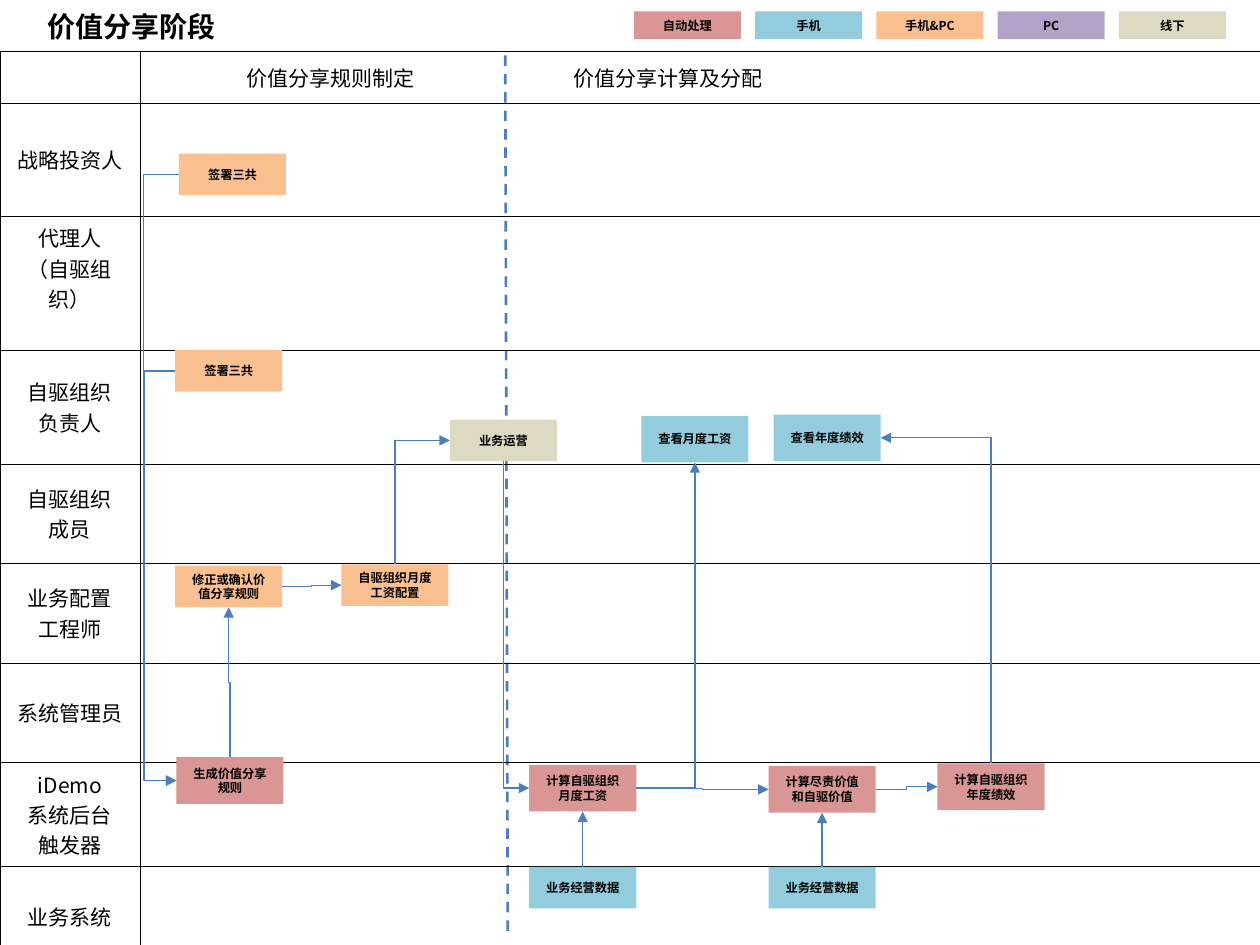
from dataclasses import dataclass
from typing import Optional

from lxml.etree import SubElement
from pptx import Presentation
from pptx.dml.color import RGBColor
from pptx.enum.dml import MSO_LINE
from pptx.enum.shapes import MSO_CONNECTOR as Link, MSO_SHAPE
from pptx.enum.text import MSO_ANCHOR as Anchor, PP_ALIGN as Align
from pptx.oxml.ns import qn
from pptx.util import Inches, Pt

FONT = "Noto Sans CJK SC"
BLACK = RGBColor(0x00, 0x00, 0x00)
BLUE = RGBColor(0x4B, 0x7E, 0xBC)
AUTO = RGBColor(0xD9, 0x96, 0x94)
MOBILE = RGBColor(0x93, 0xCD, 0xDD)
MOBILE_PC = RGBColor(0xFA, 0xC0, 0x90)
PC = RGBColor(0xB3, 0xA2, 0xC7)
OFFLINE = RGBColor(0xDD, 0xD9, 0xC3)


@dataclass(frozen=True)
class Step:
    """A coloured box; lengths are inches."""
    text: str
    x: float
    y: float
    h: float
    color: RGBColor
    w: float = 0.85

    def side(self, name: str) -> tuple[float, float]:
        """Return the middle of the named side."""
        return {"left": (self.x, self.y + self.h / 2),
                "right": (self.x + self.w, self.y + self.h / 2),
                "top": (self.x + self.w / 2, self.y),
                "bottom": (self.x + self.w / 2, self.y + self.h)}[name]


@dataclass(frozen=True)
class Flow:
    """An arrow between the sides of two steps."""
    source: str
    start: str
    target: str
    end: str
    bend_x: Optional[float] = None


LEGEND = [("自动处理", AUTO), ("手机", MOBILE), ("手机&PC", MOBILE_PC),
          ("PC", PC), ("线下", OFFLINE)]
LANES = [("", 0.32), ("战略投资人", 0.9), ("代理人\n（自驱组织）", 0.92),
         ("自驱组织\n负责人", 0.9), ("自驱组织\n成员", 0.79),
         ("业务配置\n工程师", 0.79), ("系统管理员", 0.79),
         ("iDemo\n系统后台\n触发器", 0.79), ("业务系统", 0.79)]
STEPS = {
    "investor_sign": Step("签署三共", 1.42, 1.22, 0.33, MOBILE_PC),
    "leader_sign": Step("签署三共", 1.39, 2.78, 0.33, MOBILE_PC),
    "confirm": Step("修正或确认价值分享规则", 1.39, 4.49, 0.33, MOBILE_PC),
    "generate": Step("生成价值分享规则", 1.40, 6.01, 0.37, AUTO),
    "configure": Step("自驱组织月度工资配置", 2.71, 4.48, 0.33, MOBILE_PC),
    "operate": Step("业务运营", 3.57, 3.33, 0.33, OFFLINE),
    "wage": Step("计算自驱组织月度工资", 4.2, 6.07, 0.37, AUTO),
    "wage_data": Step("业务经营数据", 4.2, 6.88, 0.33, MOBILE),
    "view_wage": Step("查看月度工资", 5.09, 3.3, 0.37, MOBILE),
    "value": Step("计算尽责价值和自驱价值", 6.1, 6.08, 0.37, AUTO),
    "value_data": Step("业务经营数据", 6.1, 6.88, 0.33, MOBILE),
    "view_annual": Step("查看年度绩效", 6.14, 3.29, 0.37, MOBILE),
    "annual": Step("计算自驱组织年度绩效", 7.44, 6.06, 0.37, AUTO),
}
FLOWS = [
    Flow("leader_sign", "left", "generate", "left", 1.14),
    Flow("investor_sign", "left", "generate", "left", 1.14),
    Flow("generate", "top", "confirm", "bottom"),
    Flow("confirm", "right", "configure", "left"),
    Flow("configure", "top", "operate", "left"),
    Flow("wage_data", "top", "wage", "bottom"),
    Flow("operate", "bottom", "wage", "left"),
    Flow("wage", "right", "view_wage", "bottom"),
    Flow("value_data", "top", "value", "bottom"),
    Flow("annual", "top", "view_annual", "right"),
    Flow("wage", "right", "value", "left"),
    Flow("value", "right", "annual", "left"),
]


def write(frame, text: str, *, size: float, bold: bool = False,
          align=Align.CENTER) -> None:
    """Fill a text frame, one paragraph for each line of text."""
    frame.text = text
    for paragraph in frame.paragraphs:
        paragraph.alignment = align
        for run in paragraph.runs:
            font = run.font
            font.size, font.bold, font.name = Pt(size), bold, FONT
            font.color.rgb = BLACK
            SubElement(font._element, qn("a:ea")).set("typeface", FONT)


def draw_step(slide, step: Step) -> None:
    """Draw one coloured box with its label."""
    box = slide.shapes.add_shape(MSO_SHAPE.RECTANGLE, Inches(step.x), Inches(step.y),
                                 Inches(step.w), Inches(step.h))
    box.shadow.inherit = False
    box.fill.solid()
    box.fill.fore_color.rgb = step.color
    box.line.fill.background()
    box.text_frame.word_wrap = True
    box.text_frame.vertical_anchor = Anchor.MIDDLE
    write(box.text_frame, step.text, size=7, bold=True)


def add_line(slide, kind, start, end, width: float):
    """Add a blue connector without shadow."""
    line = slide.shapes.add_connector(kind, *map(Inches, (*start, *end)))
    line.line.color.rgb = BLUE
    line.line.width = Pt(width)
    SubElement(line._element.spPr, qn("a:effectLst"))
    return line


def draw_flow(slide, flow: Flow) -> None:
    """Draw an elbow arrow, turned when it leaves a step vertically."""
    start = STEPS[flow.source].side(flow.start)
    end = STEPS[flow.target].side(flow.end)
    dx, dy = end[0] - start[0], end[1] - start[1]
    arrow = add_line(slide, Link.ELBOW, start, end, 0.75)
    properties = arrow._element.spPr
    upright = ("top", "bottom")
    if flow.start in upright:
        width, height = abs(dy), abs(dx)
        arrow.left = Inches((start[0] + end[0] - width) / 2)
        arrow.top = Inches((start[1] + end[1] - height) / 2)
        arrow.width, arrow.height = Inches(width), Inches(height)
        frame = properties.find(qn("a:xfrm"))
        frame.set("rot", str(270 * 60000))
        frame.set("flipH", str(int(dy > 0)))
        frame.set("flipV", str(int(dx < 0)))
    geometry = properties.find(qn("a:prstGeom"))
    if (flow.start in upright) != (flow.end in upright):
        geometry.set("prst", "bentConnector2")
    if flow.bend_x is not None:
        guide = SubElement(geometry.find(qn("a:avLst")), qn("a:gd"))
        guide.set("name", "adj1")
        guide.set("fmla", f"val {round((flow.bend_x - start[0]) / dx * 100000)}")
    SubElement(arrow.line._get_or_add_ln(), qn("a:tailEnd")).set("type", "triangle")


def frame_cell(cell) -> None:
    """Give a table cell thin black borders and no fill."""
    cell.vertical_anchor = Anchor.MIDDLE
    properties = cell._tc.get_or_add_tcPr()
    for edge in ("a:lnL", "a:lnR", "a:lnT", "a:lnB"):
        border = SubElement(properties, qn(edge))
        border.set("w", str(Pt(0.25)))
        fill = SubElement(border, qn("a:solidFill"))
        SubElement(fill, qn("a:srgbClr")).set("val", str(BLACK))
    cell.fill.background()


def draw_lanes(slide) -> None:
    """Draw the swimlane table with its two phase headings."""
    total = sum(height for _, height in LANES)
    table = slide.shapes.add_table(len(LANES), 2, 0, Inches(0.41),
                                   Inches(10), Inches(total)).table
    table.first_row = table.horz_banding = False
    table.columns[0].width, table.columns[1].width = Inches(1.11), Inches(8.89)
    for index, (role, height) in enumerate(LANES):
        table.rows[index].height = Inches(height)
        for column in range(2):
            frame_cell(table.cell(index, column))
        write(table.cell(index, 0).text_frame, role, size=12)
    table.cell(2, 0).margin_bottom = Inches(0.29)
    phases = table.cell(0, 1)
    phases.margin_left = Inches(0.85)
    write(phases.text_frame, "价值分享规则制定\t价值分享计算及分配", size=12, align=Align.LEFT)
    stops = SubElement(phases.text_frame.paragraphs[0]._p.get_or_add_pPr(), qn("a:tabLst"))
    stop = SubElement(stops, qn("a:tab"))
    stop.set("pos", str(Inches(2.59)))
    stop.set("algn", "l")


def main() -> None:
    """Build and save the slide."""
    deck = Presentation()
    deck.slide_width, deck.slide_height = Inches(10), Inches(7.5)
    slide = deck.slides.add_slide(deck.slide_layouts[5])
    title = slide.shapes.title
    title.left, title.top = Inches(0), Inches(0.01)
    title.width, title.height = Inches(2.09), Inches(0.39)
    title.text_frame.vertical_anchor = Anchor.MIDDLE
    write(title.text_frame, "价值分享阶段", size=16, bold=True)
    for index, (label, color) in enumerate(LEGEND):
        draw_step(slide, Step(label, 5.03 + index * 0.9625, 0.09, 0.22, color))
    divider = add_line(slide, Link.STRAIGHT, (4.01, 0.44), (4.03, 7.42), 1.5)
    divider.line.dash_style = MSO_LINE.DASH
    draw_lanes(slide)
    for step in STEPS.values():
        draw_step(slide, step)
    for flow in FLOWS:
        draw_flow(slide, flow)
    deck.save("out.pptx")


main()
